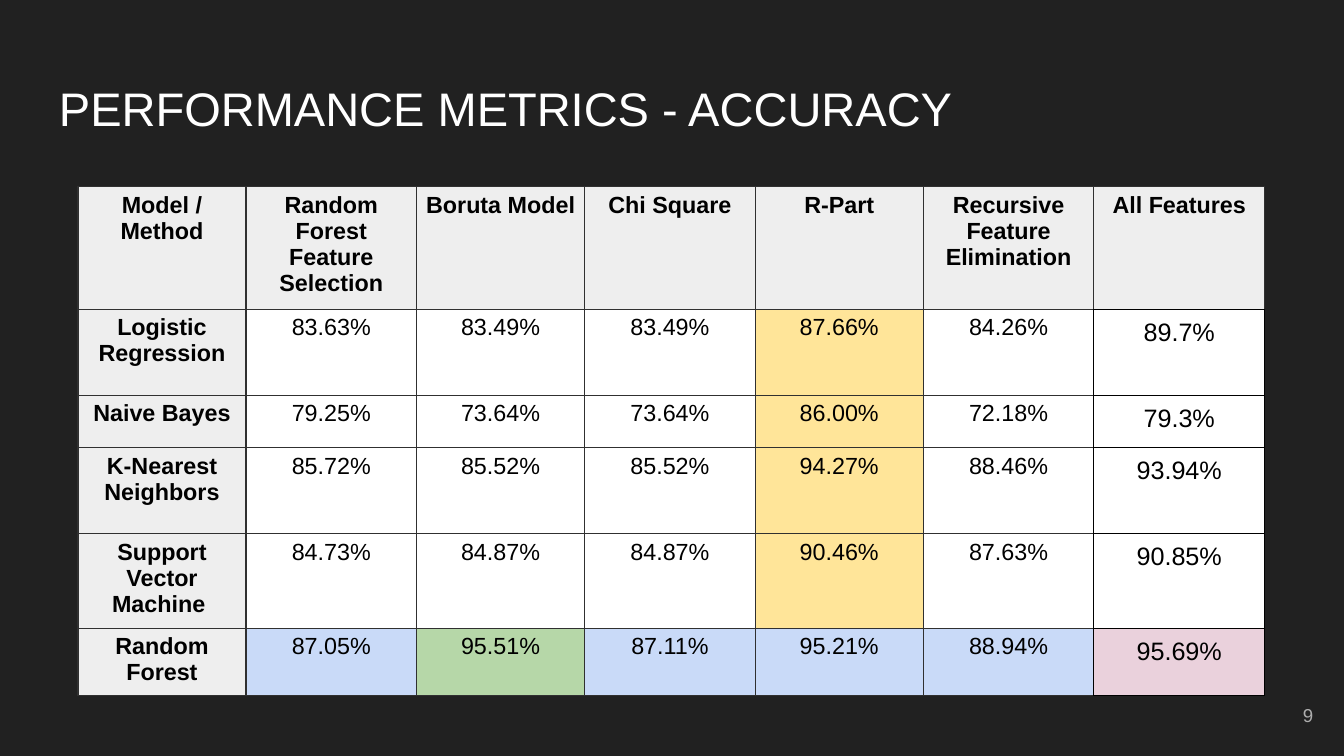
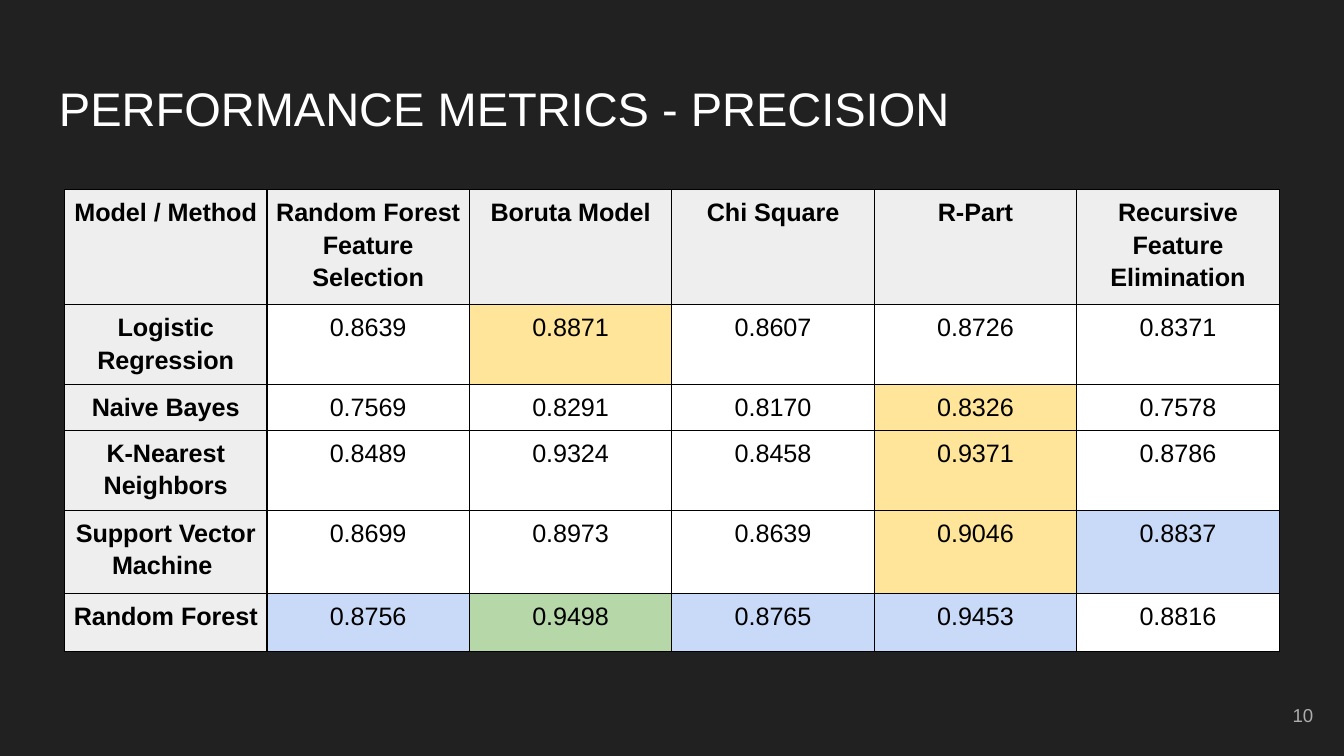
from collections import namedtuple

from lxml.etree import SubElement
from pptx import Presentation
from pptx.dml.color import RGBColor
from pptx.enum.text import MSO_ANCHOR as Anchor, PP_ALIGN as Align
from pptx.oxml.ns import qn
from pptx.util import Inches, Pt

Box = namedtuple("Box", "left top width height")
TableStyle = namedtuple("TableStyle", "size spacing border")

SLIDE_WIDTH = Inches(10)
SLIDE_HEIGHT = SLIDE_WIDTH * 9 // 16
FONT = "Arial"
BACKGROUND, TITLE_COLOR, NUMBER_COLOR, TABLE_TEXT = "212121", "FFFFFF", "ADADAD", "000000"
HEADING_FILL = "EEEEEE"
FILLS = {"W": "FFFFFF", "Y": "FFE599", "B": "C9DAF8", "G": "B6D7A8", "P": "EAD1DC"}
COMPACT = TableStyle(12.5, None, "303030")
ROOMY = TableStyle(13.5, 1.15, "000000")
CELL_MARGIN = Inches(0.04)

METHODS = ["Random Forest Feature Selection", "Boruta Model", "Chi Square", "R-Part",
           "Recursive Feature Elimination"]
MODELS = ["Logistic Regression", "Naive Bayes", "K-Nearest Neighbors",
          "Support Vector Machine ", "Random Forest"]

ACCURACY = [
    ["83.63%", "83.49%", "83.49%", "87.66%", "84.26%", "89.7%"],
    ["79.25%", "73.64%", "73.64%", "86.00%", "72.18%", "79.3%"],
    ["85.72%", "85.52%", "85.52%", "94.27%", "88.46%", "93.94%"],
    ["84.73%", "84.87%", "84.87%", "90.46%", "87.63%", "90.85%"],
    ["87.05%", "95.51%", "87.11%", "95.21%", "88.94%", "95.69%"],
]
ACCURACY_FILLS = ["WWWYWW"] * 4 + ["BGBBBP"]

PRECISION = [
    ["0.8639", "0.8871", "0.8607", "0.8726", "0.8371"],
    ["0.7569", "0.8291", "0.8170", "0.8326", "0.7578"],
    ["0.8489", "0.9324", "0.8458", "0.9371", "0.8786"],
    ["0.8699", "0.8973", "0.8639", "0.9046", "0.8837"],
    ["0.8756", "0.9498", "0.8765", "0.9453", "0.8816"],
]
PRECISION_FILLS = ["WYWWW", "WWWYW", "WWWYW", "WWWYB", "BGBBW"]


def color(value):
    """Turn a hex string into a colour."""
    return RGBColor.from_string(value)


def percent_box(left, top, width, height):
    """Turn percentages of the slide into a box of lengths."""
    return Box(int(SLIDE_WIDTH * left / 100), int(SLIDE_HEIGHT * top / 100),
               int(SLIDE_WIDTH * width / 100), int(SLIDE_HEIGHT * height / 100))


def style_paragraph(paragraph, size, hex_color, align, bold=False):
    """Set the font and alignment of a paragraph."""
    paragraph.alignment = align
    paragraph.font.name = FONT
    paragraph.font.size = Pt(size)
    paragraph.font.bold = bold
    paragraph.font.color.rgb = color(hex_color)


def add_text(slide, box, text, size, hex_color, align=Align.LEFT, anchor=Anchor.TOP):
    """Add one line of text in a box."""
    frame = slide.shapes.add_textbox(*box).text_frame
    frame.word_wrap = True
    frame.vertical_anchor = anchor
    frame.margin_left = frame.margin_right = Inches(0.1)
    frame.margin_top = frame.margin_bottom = Inches(0.1)
    frame.text = text
    style_paragraph(frame.paragraphs[0], size, hex_color, align)


def add_borders(cell, colors):
    """Draw the left, right, top and bottom borders of a cell."""
    properties = cell._tc.get_or_add_tcPr()
    for side, hex_color in zip("LRTB", colors):
        line = SubElement(properties, qn(f"a:ln{side}"), w=str(Pt(0.75)))
        fill = SubElement(line, qn("a:solidFill"))
        SubElement(fill, qn("a:srgbClr"), val=hex_color)


def fill_cell(cell, text, fill, style, borders, bold):
    """Write and style one table cell."""
    cell.margin_left = cell.margin_right = CELL_MARGIN
    cell.margin_top = cell.margin_bottom = CELL_MARGIN
    cell.text = text
    paragraph = cell.text_frame.paragraphs[0]
    style_paragraph(paragraph, style.size, TABLE_TEXT, Align.CENTER, bold)
    if style.spacing:
        paragraph.line_spacing = style.spacing
    add_borders(cell, borders)
    cell.fill.solid()
    cell.fill.fore_color.rgb = color(fill)


def add_metrics_table(slide, box, columns, rows, methods, values, fills, style):
    """Add a models by methods table, sharing the box by column and row weights."""
    table = slide.shapes.add_table(len(rows), len(columns), *box).table
    table.first_row = table.horz_banding = False
    for column, weight in zip(table.columns, columns):
        column.width = int(box.width * weight / sum(columns))
    for row, weight in zip(table.rows, rows):
        row.height = int(box.height * weight / sum(rows))

    texts = [["Model / Method", *methods]]
    texts += [[model, *line] for model, line in zip(MODELS, values)]
    last = len(columns) - 1
    for r, line in enumerate(texts):
        for c, text in enumerate(line):
            heading = r == 0 or c == 0
            fill = HEADING_FILL if heading else FILLS[fills[r - 1][c - 1]]
            cell_style = ROOMY if c == last and not heading else style
            borders = [cell_style.border] * 4
            if r > 0 and c == last - 1:
                borders[1] = ROOMY.border
            if r == 0 and c == last:
                borders[3] = ROOMY.border
            fill_cell(table.cell(r, c), text, fill, cell_style, borders, heading)


def add_metrics_slide(presentation, metric, number):
    """Add a dark slide with its title and page number."""
    slide = presentation.slides.add_slide(presentation.slide_layouts[6])
    slide.background.fill.solid()
    slide.background.fill.fore_color.rgb = color(BACKGROUND)
    add_text(slide, percent_box(3.4, 8.7, 93.2, 11.2),
             f"PERFORMANCE METRICS - {metric}", 25.2, TITLE_COLOR)
    add_text(slide, percent_box(92.7, 90.7, 6, 7.65), str(number), 10, NUMBER_COLOR,
             Align.RIGHT, Anchor.MIDDLE)
    return slide


def main():
    """Build and save the presentation."""
    presentation = Presentation()
    presentation.slide_width, presentation.slide_height = SLIDE_WIDTH, SLIDE_HEIGHT

    slide = add_metrics_slide(presentation, "ACCURACY", 9)
    add_metrics_table(slide, percent_box(5.8, 24.7, 88.3, 63.8),
                      [125, 127, 125, 127, 125, 127, 127], [89, 64, 39, 64, 64, 39],
                      METHODS + ["All Features"], ACCURACY, ACCURACY_FILLS, COMPACT)

    slide = add_metrics_slide(presentation, "PRECISION", 10)
    add_metrics_table(slide, percent_box(4.8, 25.1, 90.4, 57.1),
                      [1] * 6, [77, 54, 31, 54, 62, 43],
                      METHODS, PRECISION, PRECISION_FILLS, ROOMY)

    presentation.save("out.pptx")


if __name__ == "__main__":
    main()
